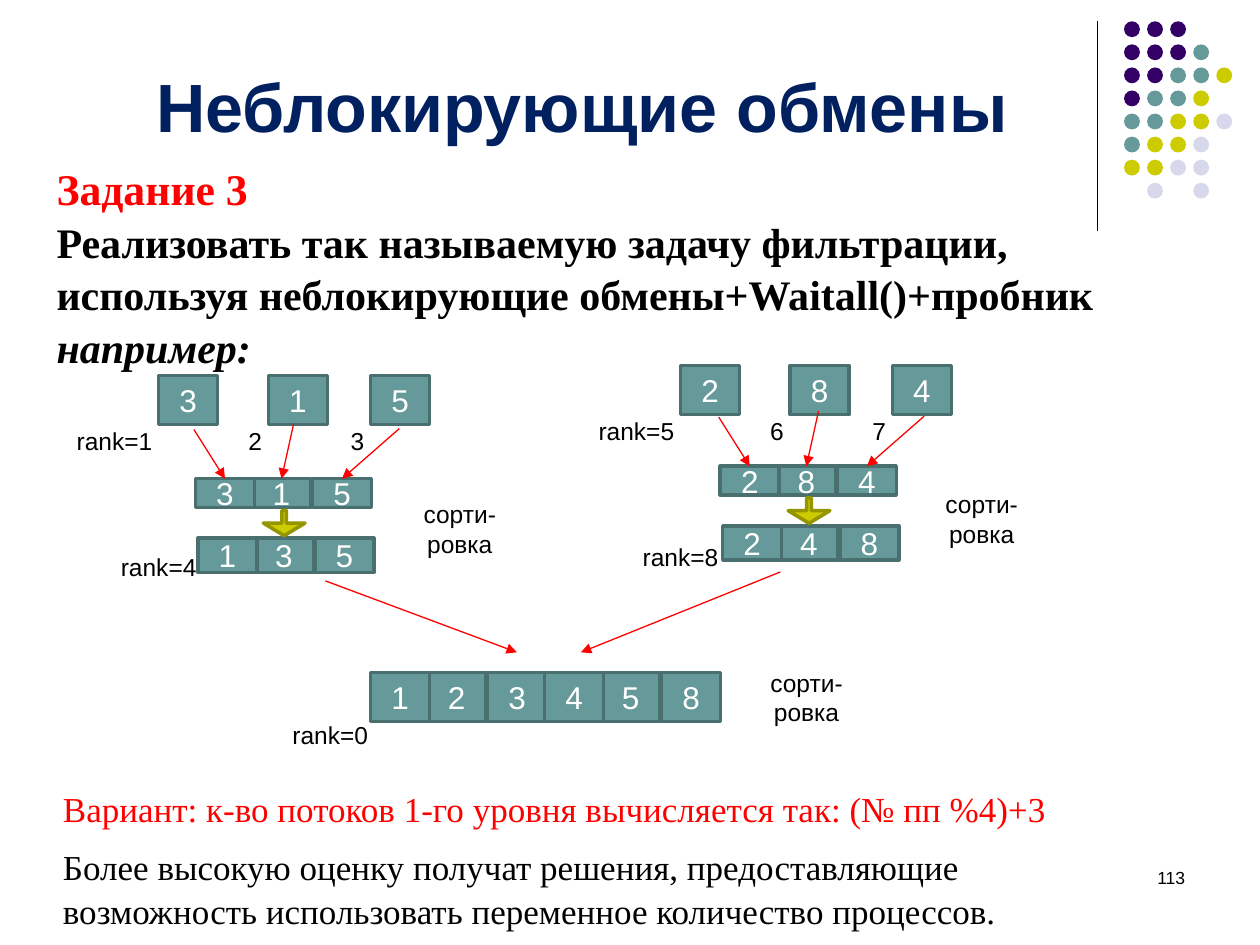
from lxml import etree
from pptx import Presentation
from pptx.dml.color import RGBColor
from pptx.enum import shapes, text
from pptx.oxml import ns
from pptx.util import Cm, Pt

COLORS = {
    "navy": "002060", "red": "FF0000", "black": "000000", "white": "FFFFFF",
    "teal": "669999", "teal_edge": "496F6F", "yellow": "CCCC00",
    "yellow_edge": "959500", "purple": "330066", "lilac": "D8D8EC",
}
DOT_COLORS = {"P": "purple", "T": "teal", "Y": "yellow", "L": "lilac"}
DOT_ROWS = ["PPP", "PPPT", "PPTTY", "PTTY", "TTYYL", "TYYL", "YYLL", " L L"]
CELL_WIDTH, BOX_HEIGHT, LABEL_WIDTH = 1.19, 0.99, 2.44
CELL_OFFSETS = [0, 1.14, 2.36]
SOURCE_OFFSETS = [0, 2.21, 4.27]
ARROW_STARTS = [(0.71, 1.09), (2.72, 0.97), (4.85, 1.07)]


def rgb(name):
    """Return the colour of a palette name."""
    return RGBColor.from_string(COLORS[name])


def add_shape(slide, kind, box, fill, edge=None):
    """Add a flat preset shape in a box given in centimetres."""
    shape = slide.shapes.add_shape(kind, *map(Cm, box))
    shape.shadow.inherit = False
    shape.fill.solid()
    shape.fill.fore_color.rgb = rgb(fill)
    if edge:
        shape.line.color.rgb = rgb(edge)
        shape.line.width = Pt(2)
    else:
        shape.line.fill.background()
    return shape


def add_box(slide, box, caption, size, color, fill, edge=None):
    """Add a rectangle with a centred caption."""
    shape = add_shape(slide, shapes.MSO_SHAPE.RECTANGLE, box, fill, edge)
    frame = shape.text_frame
    frame.word_wrap = True
    frame.vertical_anchor = text.MSO_ANCHOR.MIDDLE
    paragraph = frame.paragraphs[0]
    paragraph.text = caption
    paragraph.alignment = text.PP_ALIGN.CENTER
    style(paragraph.font, size, color)
    return shape


def add_cell(slide, left, top, height, value):
    """Add one teal number cell."""
    box = (left, top, CELL_WIDTH, height)
    return add_box(slide, box, value, 18, "white", "teal", "teal_edge")


def add_label(slide, left, top, caption, width=LABEL_WIDTH):
    """Add a white label."""
    box = (left, top, width, BOX_HEIGHT)
    add_box(slide, box, caption, 14, "black", "white")


def add_triple(slide, left, top, height, values):
    """Add three adjoining cells with the middle one at the back."""
    return {i: add_cell(slide, left + CELL_OFFSETS[i], top, height, values[i])
            for i in (1, 0, 2)}


def add_line(slide, start, end, color, arrow=False):
    """Add a thin straight line, with an arrowhead on request."""
    line = slide.shapes.add_connector(
        shapes.MSO_CONNECTOR.STRAIGHT, *map(Cm, (*start, *end)))
    line.line.color.rgb = rgb(color)
    line.line.width = Pt(0.75)
    properties = line._element.spPr
    if arrow:
        outline = properties.find(ns.qn("a:ln"))
        etree.SubElement(outline, ns.qn("a:tailEnd"), type="triangle")
    etree.SubElement(properties, ns.qn("a:effectLst"))
    return line


def style(font, size, color, name="Arial", bold=False):
    """Set the font of a paragraph or run."""
    font.name = name
    font.size = Pt(size)
    font.bold = bold
    font.color.rgb = rgb(color)


def add_text(slide, box, lines, size, color, name="Times New Roman", bold=False):
    """Add a wrapping text box and return its paragraphs."""
    frame = slide.shapes.add_textbox(*map(Cm, box)).text_frame
    frame.word_wrap = True
    frame.text = "\n".join(lines)
    for paragraph in frame.paragraphs:
        style(paragraph.font, size, color, name, bold)
    return frame.paragraphs


def add_dots(slide, left, top):
    """Draw the corner pattern of dots."""
    pitch, size = 0.465, 0.32
    for row, pattern in enumerate(DOT_ROWS):
        for column, key in enumerate(pattern):
            if key != " ":
                box = (left + column * pitch, top + row * pitch, size, size)
                add_shape(slide, shapes.MSO_SHAPE.OVAL, box, DOT_COLORS[key])


def add_branch(slide, left, top, shift, values, first_rank, sorter_rank):
    """Draw three sources, their merged row and the sorted row."""
    inner_left, inner_top = left + shift[0], top + shift[1]
    add_label(slide, left - 1.22, top + 3.35, f"rank={sorter_rank}")
    add_label(slide, left - 2.11, top + 0.81, f"rank={first_rank}")
    for i in (1, 2):
        add_label(slide, left + SOURCE_OFFSETS[i] - 0.86, top + 0.81,
                  str(first_rank + i), CELL_WIDTH)
    for offset, value in zip(SOURCE_OFFSETS, values):
        add_cell(slide, left + offset, top, BOX_HEIGHT, value)
    add_label(slide, left + 4.85, top + 2.59, "сорти-ровка")
    add_triple(slide, inner_left + 0.79, inner_top + 3.28, 0.69, sorted(values))
    merged = add_triple(slide, inner_left + 0.74, inner_top + 2.08, 0.58, values)
    for i, (x, y) in enumerate(ARROW_STARTS):
        start = (inner_left + x, inner_top + y)
        line = add_line(slide, start, start, "red", arrow=True)
        line.end_connect(merged[i], 0)
    arrow = add_shape(slide, shapes.MSO_SHAPE.DOWN_ARROW,
                      (inner_left + 2.11, inner_top + 2.72, 0.84, 0.51),
                      "yellow", "yellow_edge")
    arrow.adjustments[0] = 0.11


def add_result(slide, left, top, values):
    """Draw the final sorted row with its incoming arrows."""
    add_label(slide, left - 2.03, top + 0.76, "rank=0")
    for half in (0, 1):
        add_triple(slide, left + half * 3.51, top, BOX_HEIGHT,
                   values[half * 3:half * 3 + 3])
    add_label(slide, left + 7.57, top, "сорти-ровка")
    for start, end in (((-0.91, -1.85), 2.95), ((8.26, -2.03), 4.24)):
        add_line(slide, (left + start[0], top + start[1]),
                 (left + end, top - 0.41), "red", arrow=True)


def add_heading(slide, left, top):
    """Write the title and the task."""
    title = add_text(slide, (left + 2.01, top, 18.59, 1.96),
                     ["Неблокирующие обмены"], 39, "navy", "Arial", True)
    title[0]._parent.vertical_anchor = text.MSO_ANCHOR.BOTTOM
    task = add_text(slide, (left, top + 1.98, 23.39, 4.42), [
        "Задание 3",
        "Реализовать так называемую задачу фильтрации, "
        "используя неблокирующие обмены+Waitall()+пробник ",
    ], 24, "black", bold=True)
    style(task[0].font, 25, "red", "Times New Roman", True)
    example = task[1].add_run()
    example.text = "например:"
    example.font.italic = True
    for paragraph in task:
        paragraph.line_spacing = 1.04


def add_footer(slide, left, top):
    """Write the closing notes and the slide number."""
    add_text(slide, (left, top, 20.88, 1.12),
             ["Вариант: к-во потоков 1-го уровня вычисляется так: (№ пп %4)+3"],
             20, "red")
    notes = add_text(slide, (left, top + 1.14, 20.88, 1.96),
                     ["Более высокую оценку получат решения, предоставляющие "
                      "возможность использовать переменное количество процессов."],
                     20, "black")
    notes[0].line_spacing = 1.04
    number = add_text(slide, (left + 17.2, top + 1.6, 5.92, 1.27),
                      ["113"], 10, "black", "Arial")
    number[0].alignment = text.PP_ALIGN.RIGHT


def main():
    """Build and save the slide."""
    presentation = Presentation()
    presentation.slide_width, presentation.slide_height = Cm(25.4), Cm(19.05)
    slide = presentation.slides.add_slide(presentation.slide_layouts[6])
    add_line(slide, (22.12, 0.43), (22.12, 4.65), "black")
    add_dots(slide, 22.66, 0.43)
    add_heading(slide, 0.89, 1.12)
    add_branch(slide, 3.2, 7.57, (0, 0), "315", 1, 4)
    add_branch(slide, 13.72, 7.37, (0.06, -0.05), "284", 5, 8)
    add_result(slide, 7.47, 13.56, "123458")
    add_footer(slide, 1.02, 15.75)
    presentation.save("out.pptx")


if __name__ == "__main__":
    main()
